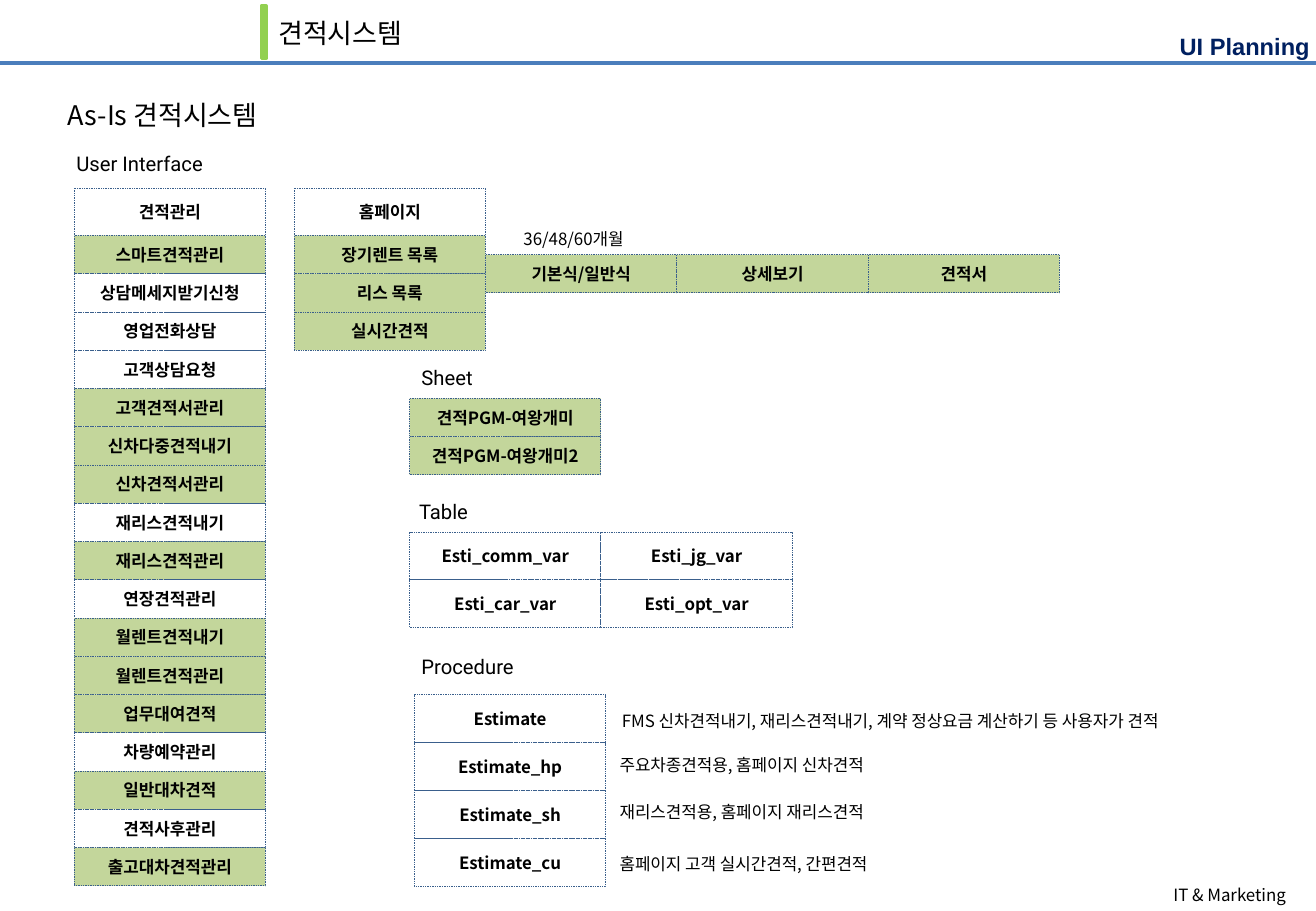
from lxml.etree import SubElement
from pptx import Presentation
from pptx.dml.color import RGBColor
from pptx.enum.dml import MSO_LINE_DASH_STYLE as DASH
from pptx.enum.shapes import MSO_CONNECTOR, MSO_SHAPE
from pptx.enum.text import MSO_ANCHOR as ANCHOR, PP_ALIGN as ALIGN
from pptx.oxml.ns import qn
from pptx.util import Inches, Pt

COLORS = {"text": "000000", "brand": "002060", "accent": "92D050",
          "rule": "4B7EBC", "border": "3A5F8C", "used": "C3D69B"}
KOREAN, HEADING, BRAND = "Noto Sans CJK KR", "Roboto", "Arial"
WIDTH, HEIGHT = 10.83, 7.5
COLUMN, ROW, TALL_ROW = 1.575, 0.315, 0.394
TOP = 1.55
LIST_TOP = TOP + TALL_ROW - 0.005
MENU_LEFT, HOME_LEFT, DATA_LEFT, PROCEDURE_LEFT = 0.61, 2.42, 3.37, 3.41
PROCEDURE_TOP = 5.72

TITLE = "견적시스템"
MENU = [
    ("스마트견적관리", True), ("상담메세지받기신청", False),
    ("영업전화상담", False), ("고객상담요청", False),
    ("고객견적서관리", True), ("신차다중견적내기", True),
    ("신차견적서관리", True), ("재리스견적내기", False),
    ("재리스견적관리", True), ("연장견적관리", False),
    ("월렌트견적내기", True), ("월렌트견적관리", True),
    ("업무대여견적", True), ("차량예약관리", False),
    ("일반대차견적", True), ("견적사후관리", False),
    ("출고대차견적관리", True),
]
HOME_PAGES = ["장기렌트 목록", "리스 목록", "실시간견적"]
HOME_STEPS = ["기본식/일반식", "상세보기", "견적서"]
SHEETS = ["견적PGM-여왕개미", "견적PGM-여왕개미2"]
TABLES = [["Esti_comm_var", "Esti_jg_var"], ["Esti_car_var", "Esti_opt_var"]]
PROCEDURES = ["Estimate", "Estimate_hp", "Estimate_sh", "Estimate_cu"]
NOTES = [
    (5.02, 5.8, "FMS 신차견적내기, 재리스견적내기, 계약 정상요금 계산하기 등 사용자가 견적"),
    (5, 6.16, "주요차종견적용, 홈페이지 신차견적"),
    (5, 6.55, "재리스견적용, 홈페이지 재리스견적"),
    (5, 6.98, "홈페이지 고객 실시간견적, 간편견적"),
]
HEADINGS = [(0.53, 1.2, "User Interface"), (3.37, 2.96, "Sheet"),
            (3.35, 4.06, "Table"), (3.37, 5.34, "Procedure")]


def color(name):
    return RGBColor.from_string(COLORS[name])


def write(shape, text, size, font=KOREAN, bold=False, align=ALIGN.LEFT,
          anchor=ANCHOR.TOP, ink="text"):
    frame = shape.text_frame
    frame.word_wrap = True
    frame.vertical_anchor = anchor
    frame.text = text
    paragraph = frame.paragraphs[0]
    paragraph.alignment = align
    paragraph.font.size = Pt(size)
    paragraph.font.bold = bold
    paragraph.font.name = font
    paragraph.font.color.rgb = color(ink)
    properties = paragraph._p.pPr.find(qn("a:defRPr"))
    SubElement(properties, qn("a:ea")).set("typeface", KOREAN)


def label(left, top, width, height, text, size, **style):
    area = map(Inches, (left, top, width, height))
    shape = slide.shapes.add_textbox(*area)
    write(shape, text, size, **style)
    return shape


def rectangle(left, top, width, height, fill, line, weight):
    area = map(Inches, (left, top, width, height))
    shape = slide.shapes.add_shape(MSO_SHAPE.RECTANGLE, *area)
    shape.shadow.inherit = False
    if fill:
        shape.fill.solid()
        shape.fill.fore_color.rgb = color(fill)
    else:
        shape.fill.background()
    shape.line.color.rgb = color(line)
    shape.line.width = Pt(weight)
    return shape


def grid(left, top, row_height, rows, used=False):
    for i, row in enumerate(rows):
        for j, text in enumerate(row):
            cell = rectangle(left + j * COLUMN, top + i * row_height, COLUMN,
                             row_height, "used" if used else None, "border", 0.5)
            cell.line.dash_style = DASH.ROUND_DOT
            write(cell, text, 10, bold=True, align=ALIGN.CENTER,
                  anchor=ANCHOR.MIDDLE)


presentation = Presentation()
presentation.slide_width, presentation.slide_height = Inches(WIDTH), Inches(HEIGHT)
slide = presentation.slides.add_slide(presentation.slide_layouts[5])

title = slide.shapes.title
title.left, title.top, title.width, title.height = map(Inches, (2.19, 0.09, 1.4, 0.37))
write(title, TITLE, 16)

label(9.51, 7.23, 1.17, 0.27, "IT & Marketing", 10, align=ALIGN.RIGHT)
brand = label(9.16, 0.23, 1.67, 0.3, "UI Planning", 14, font=BRAND, bold=True,
              align=ALIGN.RIGHT, anchor=ANCHOR.MIDDLE, ink="brand")
brand.text_frame.margin_right = Inches(0.05)
brand.text_frame.margin_top = brand.text_frame.margin_bottom = Inches(0.03)
rectangle(2.15, 0.05, 0.04, 0.43, "accent", "accent", 2)

rule = slide.shapes.add_connector(MSO_CONNECTOR.STRAIGHT, 0, Inches(0.52),
                                  Inches(WIDTH), Inches(0.52))
rule.line.color.rgb = color("rule")
rule.line.width = Pt(2)
SubElement(rule._element.spPr, qn("a:effectLst"))

label(0.46, 0.76, 2.13, 0.37, "As-Is 견적시스템", 16)
for left, top, text in HEADINGS:
    label(left, top, 1.75, 0.3, text, 12, font=HEADING)
label(4.21, 1.83, 1.13, 0.27, "36/48/60개월", 10)
for left, top, text in NOTES:
    label(left, top, 5.45, 0.27, text, 10)

grid(MENU_LEFT, TOP, TALL_ROW, [["견적관리"]])
for i, (text, used) in enumerate(MENU):
    grid(MENU_LEFT, LIST_TOP + i * ROW, ROW, [[text]], used)
grid(HOME_LEFT, TOP, TALL_ROW, [["홈페이지"]])
grid(HOME_LEFT, LIST_TOP, ROW, [[text] for text in HOME_PAGES], True)
grid(HOME_LEFT + COLUMN, LIST_TOP + ROW / 2, ROW, [HOME_STEPS], True)
grid(DATA_LEFT, 3.28, ROW, [[text] for text in SHEETS], True)
grid(DATA_LEFT, 4.38, TALL_ROW, TABLES)
grid(PROCEDURE_LEFT, PROCEDURE_TOP, TALL_ROW, [[text] for text in PROCEDURES])

presentation.save("out.pptx")
